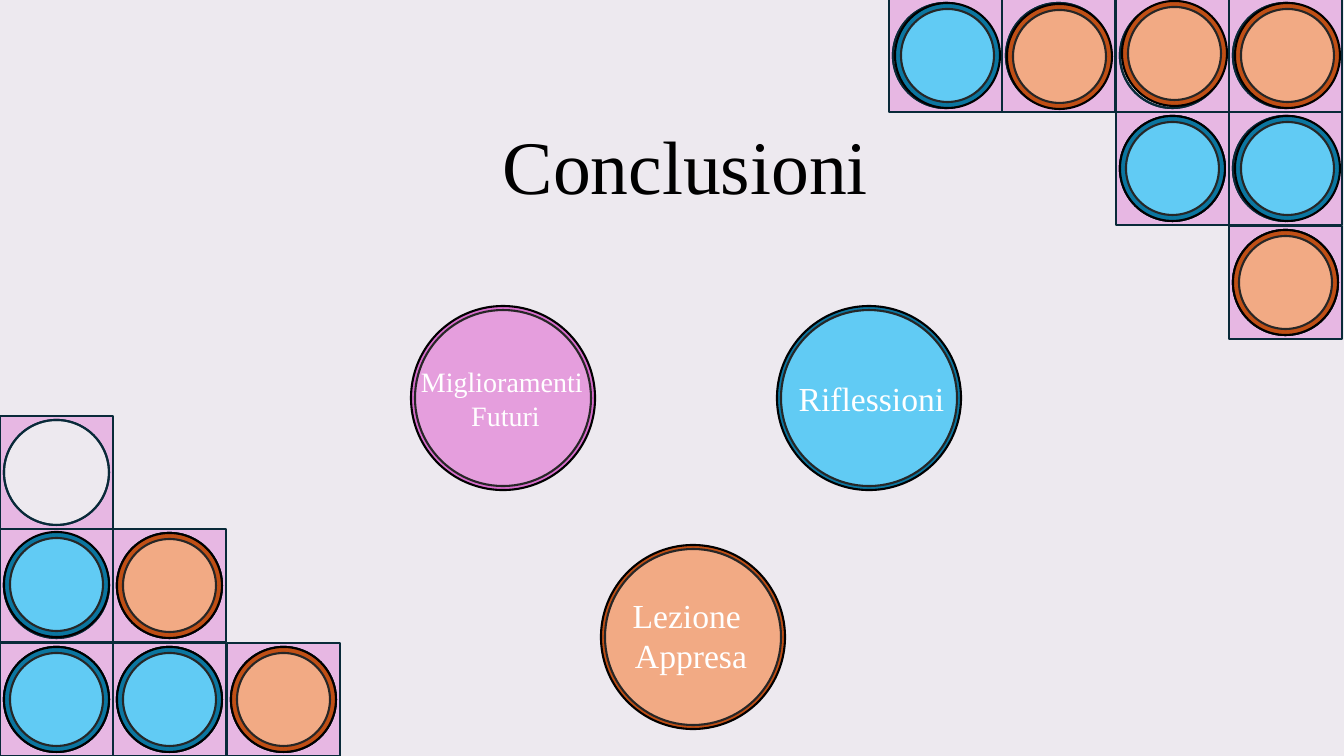
from pptx import Presentation
from pptx.dml.color import RGBColor
from pptx.enum.shapes import MSO_SHAPE
from pptx.enum.text import MSO_AUTO_SIZE, PP_ALIGN
from pptx.oxml.xmlchemy import OxmlElement
from pptx.util import Pt

PX = 914400 / 100.8
THEME = {
    "font": "Times New Roman",
    "title_size": 54, "label_size": 24, "small_label_size": 20,
    "title": "000000", "label": "FFFFFF",
    "background": "EDE9EF", "white": "FFFFFF", "haze": "C4B7CB",
    "cell": "E59EDD", "grid": "092A39",
    "rim_line": "000000", "face_line": "262626", "line_width": 1.5,
    "blue": ("0B76A0", "61CBF4"),
    "orange": ("C04F15", "F2AA84"),
    "pink": ("D86ECC", "E59EDD"),
}
PITCH = 340 / 3
CELL, HOLE, HOLE_INSET, RIM = 113, 105, 4, 6
DISC, DISC_RIM = 184, 4

deck = Presentation()
deck.slide_width, deck.slide_height = round(1344 * PX), round(756 * PX)
page = deck.slides.add_slide(deck.slide_layouts[6])
page.background.fill.solid()
page.background.fill.fore_color.rgb = RGBColor.from_string(THEME["background"])


def add_figure(preset, left, top, size, fill, line, opacity=100):
    """Draw a square-bounded preset; all lengths are px, opacity is percent."""
    figure = page.shapes.add_shape(preset, *(round(v * PX) for v in (left, top, size, size)))
    figure.shadow.inherit = False
    figure.fill.solid()
    figure.fill.fore_color.rgb = RGBColor.from_string(fill)
    figure.line.color.rgb = RGBColor.from_string(line)
    figure.line.width = Pt(THEME["line_width"])
    if opacity < 100:
        alpha = OxmlElement("a:alpha")
        alpha.set("val", str(opacity * 1000))
        figure.fill._xPr.solidFill.find(".//{*}srgbClr").append(alpha)


def add_piece(left, top, size, rim, colour):
    """Draw a game piece: a dark disc with a lighter face inside its rim."""
    edge, face = THEME[colour]
    circle = MSO_SHAPE.FLOWCHART_CONNECTOR
    add_figure(circle, left, top, size, edge, THEME["rim_line"])
    add_figure(circle, left + rim, top + rim, size - 2 * rim, face, THEME["face_line"])


# Each board: its origin, then cells as column, row, piece colour, piece offset
boards = [
    ((889, -1), [
        (3, 2, "orange", (0, 0)),
        (2, 1, "blue", (0, 0)),
        (3, 1, "blue", (2, 0)),
        (1, 0, "orange", (1, 1)),
        (2, 0, "orange", (2, -2)),
        (3, 0, "orange", (2, 0)),
        (0, 0, "blue", (2, 0)),
    ]),
    ((0, 416), [
        (0, 2, "blue", (0, 0)),
        (1, 2, "blue", (0, 0)),
        (2, 2, "orange", (0, 0)),
        (0, 1, "blue", (0, -1)),
        (1, 1, "orange", (0, 0)),
        (0, 0, None, (0, 0)),
    ]),
]
pieces = []
for (origin_x, origin_y), cells in boards:
    for column, row, colour, (shift_x, shift_y) in cells:
        left = origin_x + round(column * PITCH)
        top = origin_y + round(row * PITCH)
        add_figure(MSO_SHAPE.RECTANGLE, left, top, CELL, THEME["cell"], THEME["grid"], 66)
        hole_x, hole_y = left + HOLE_INSET, top + HOLE_INSET
        for fill, opacity in ((THEME["white"], 100), (THEME["haze"], 30)):
            add_figure(MSO_SHAPE.FLOWCHART_CONNECTOR, hole_x, hole_y, HOLE,
                       fill, THEME["grid"], opacity)
        if colour:
            pieces.append((hole_x + shift_x, hole_y + shift_y, HOLE, RIM, colour))

for piece in pieces:
    add_piece(*piece)
for left, top, colour in ((777, 306, "blue"), (601, 545, "orange"), (411, 306, "pink")):
    add_piece(left, top, DISC, DISC_RIM, colour)

# Bounds in px, lines of text, size key, colour key, wrap
texts = [
    ((261, 114, 849, 102), ["Conclusioni"], "title_size", "title", True),
    ((788, 373, 167, 50), ["Riflessioni"], "label_size", "label", False),
    ((622, 590, 138, 92), ["Lezione ", "Appresa"], "label_size", "label", False),
    ((410, 360, 191, 78), ["Miglioramenti ", "Futuri"], "small_label_size", "label", False),
]
for bounds, lines, size, colour, wrap in texts:
    box = page.shapes.add_textbox(*(round(v * PX) for v in bounds))
    frame = box.text_frame
    frame.word_wrap = wrap
    frame.auto_size = MSO_AUTO_SIZE.SHAPE_TO_FIT_TEXT
    frame.text = "\n".join(lines)
    for para in frame.paragraphs:
        para.alignment = PP_ALIGN.CENTER
        span = para.runs[0]
        for name, value in {"name": THEME["font"], "size": Pt(THEME[size])}.items():
            setattr(span.font, name, value)
        span.font.color.rgb = RGBColor.from_string(THEME[colour])

deck.save("out.pptx")
